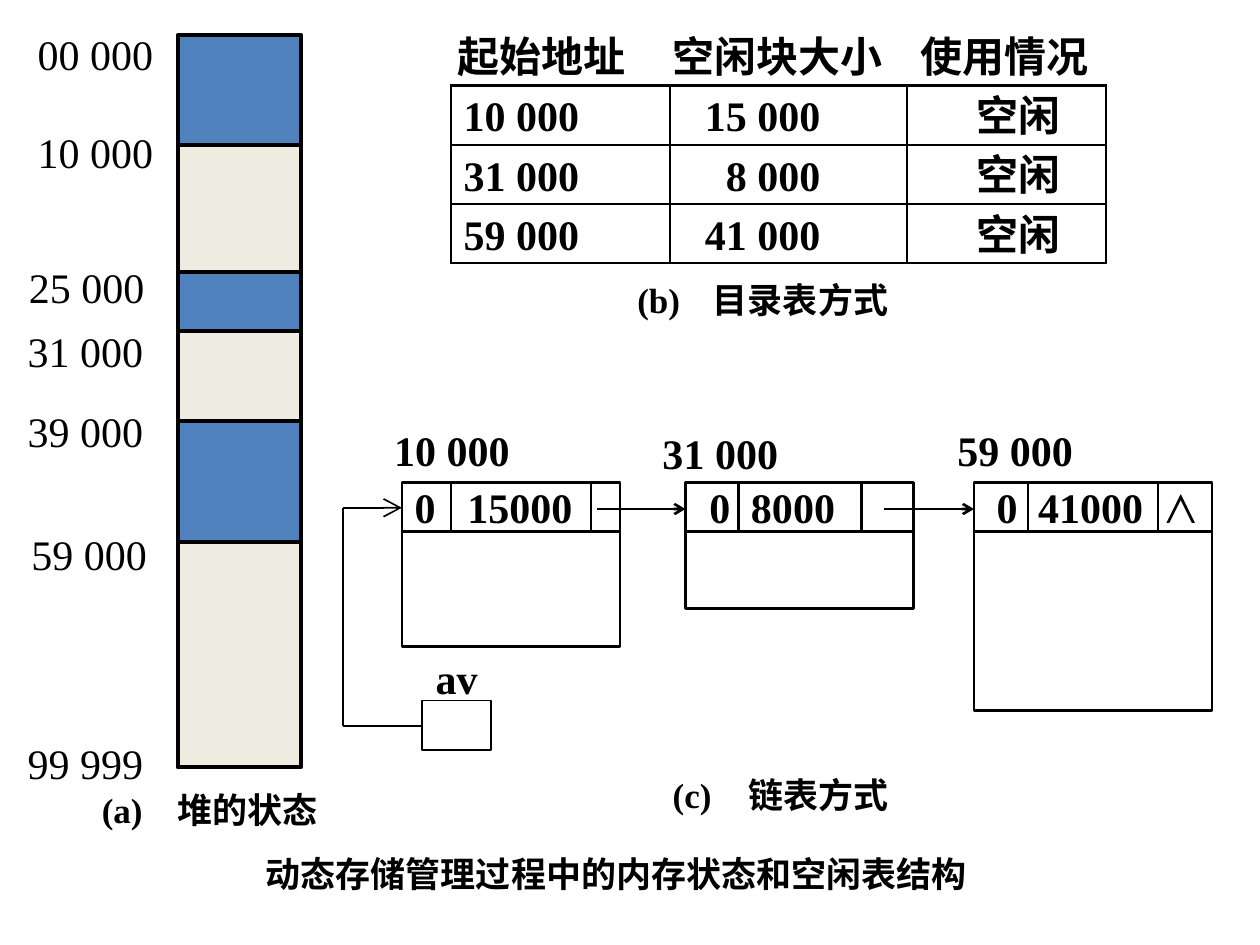
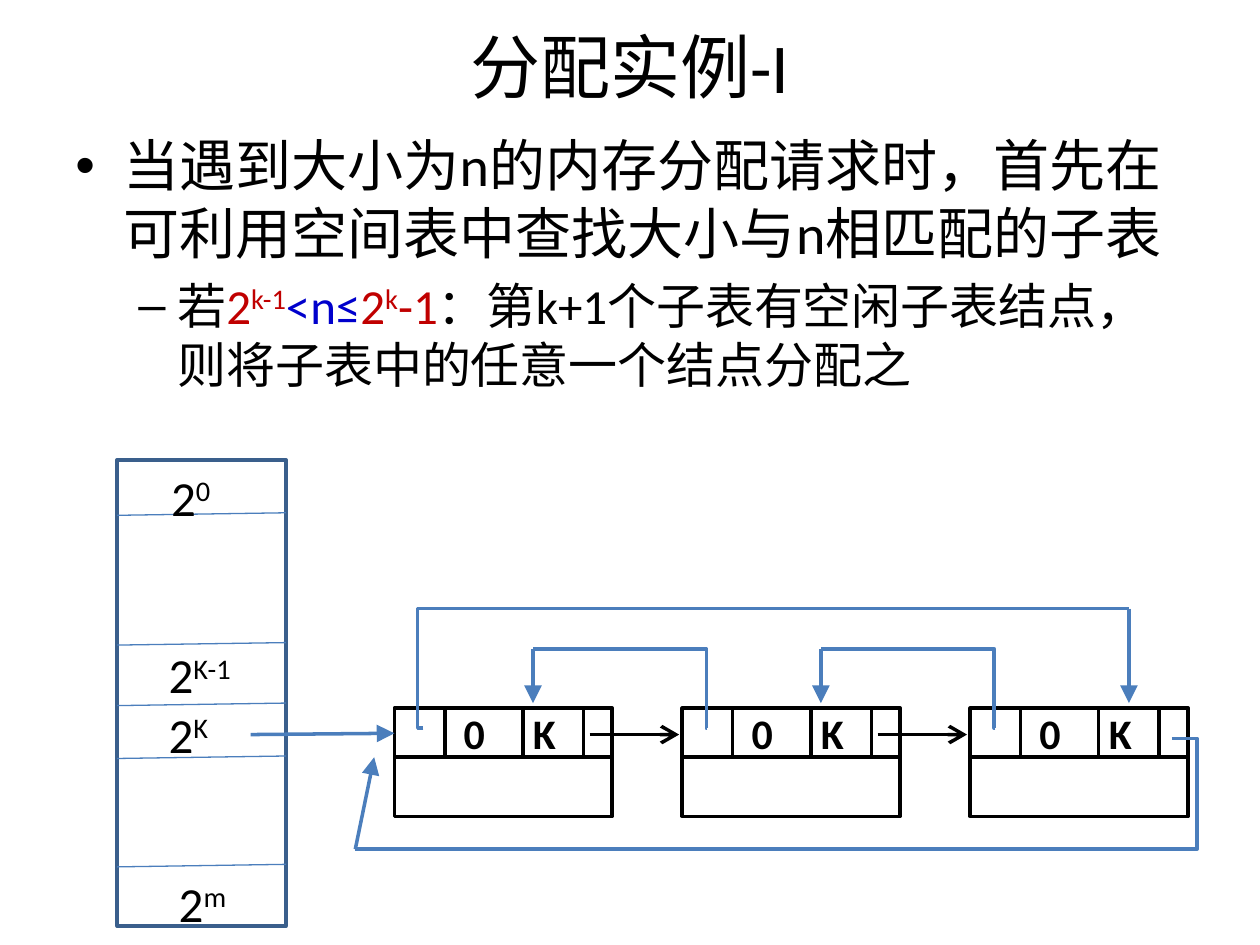
from itertools import accumulate
from lxml.etree import SubElement
from pptx import Presentation
from pptx.dml.color import RGBColor
from pptx.enum.shapes import MSO_CONNECTOR as CONNECTOR, MSO_SHAPE as SHAPE
from pptx.enum.text import MSO_ANCHOR as ANCHOR, PP_ALIGN as ALIGN
from pptx.oxml.ns import qn
from pptx.util import Inches, Pt

BLACK, BLUE, OUTLINE = "000000", "4B7EBC", "3A5F8C"
USED, FREE = "4F81BD", "EEECE1"
RED, NAVY = "C00000", "0000CC"
SERIF = {"name": "Times New Roman", "size": Pt(24)}
SERIF_BOLD = {**SERIF, "bold": True}
CAPTION = {**SERIF_BOLD, "size": Pt(20)}
SANS_BOLD = {"name": "Calibri", "size": Pt(24), "bold": True}
POWER = {"name": "Calibri", "size": Pt(28)}
TITLE = {"name": "Calibri", "size": Pt(40)}
BODY = {"name": "Calibri", "size": Pt(32)}


def color(hex_value):
    return RGBColor.from_string(hex_value)


# Shared building parts
def add_runs(paragraph, runs, style):
    """Each run is a plain string or (text, colour, is_superscript)."""
    for item in [runs] if isinstance(runs, str) else runs:
        text, hex_value, raised = (item, BLACK, False) if isinstance(item, str) else item
        run = paragraph.add_run()
        run.text = text
        for key, value in style.items():
            setattr(run.font, key, value)
        run.font.color.rgb = color(hex_value)
        if raised:
            run._r.get_or_add_rPr().set("baseline", "30000")


def set_tabs(paragraph, stops):
    tabs = SubElement(paragraph._p.get_or_add_pPr(), qn("a:tabLst"))
    for stop in stops:
        SubElement(tabs, qn("a:tab"), pos=str(Inches(stop)), algn="l")


def add_label(slide, left, top, width, height, runs, style,
              align=ALIGN.LEFT, anchor=ANCHOR.MIDDLE, wrap=False):
    box = slide.shapes.add_textbox(*map(Inches, (left, top, width, height)))
    frame = box.text_frame
    frame.word_wrap, frame.vertical_anchor = wrap, anchor
    frame.paragraphs[0].alignment = align
    add_runs(frame.paragraphs[0], runs, style)
    return frame


def add_caption(slide, left, top, mark, text):
    frame = add_label(slide, left, top, 2.3, 0.39, f"{mark}\t{text}", CAPTION, wrap=True)
    set_tabs(frame.paragraphs[0], [0.6])


def add_box(slide, left, top, width, height, line_width, fill=None, line=BLACK):
    shape = slide.shapes.add_shape(SHAPE.RECTANGLE, *map(Inches, (left, top, width, height)))
    shape.shadow.inherit = False
    if fill:
        shape.fill.solid()
        shape.fill.fore_color.rgb = color(fill)
    else:
        shape.fill.background()
    shape.line.color.rgb = color(line)
    shape.line.width = Pt(line_width)
    return shape


def add_line(slide, begin, end, width, line=BLACK, arrow=None, head="lg", bend=None):
    kind = CONNECTOR.STRAIGHT if bend is None else CONNECTOR.ELBOW
    connector = slide.shapes.add_connector(kind, *map(Inches, (*begin, *end)))
    connector.line.color.rgb = color(line)
    connector.line.width = Pt(width)
    properties = connector._element.spPr
    if arrow:
        SubElement(properties.find(qn("a:ln")), qn("a:tailEnd"), type=arrow, w=head, len=head)
    if bend is not None:
        guides = properties.find(".//" + qn("a:avLst"))
        SubElement(guides, qn("a:gd"), name="adj1", fmla=f"val {round(bend * 100000)}")
    SubElement(properties, qn("a:effectLst"))


def add_node(slide, left, top, fields, body_height, line_width, style):
    """A block with a header of fields (width, text, text indent) over a body."""
    head_height = 0.39
    *dividers, total = accumulate(width for width, _, _ in fields)
    add_box(slide, left, top + head_height, total, body_height, line_width)
    header = add_box(slide, left, top, total, head_height, line_width)
    frame = header.text_frame
    frame.word_wrap, frame.vertical_anchor = True, ANCHOR.MIDDLE
    frame.margin_left = frame.margin_right = frame.margin_top = frame.margin_bottom = 0
    paragraph = frame.paragraphs[0]
    paragraph.alignment = ALIGN.LEFT
    # One tab stop for each field that holds text
    stops = []
    for start, (_, text, indent) in zip([0, *dividers], fields):
        if text:
            stops.append(start + indent)
            add_runs(paragraph, "\t" + text, {**style, "bold": text != "⋀"})
    set_tabs(paragraph, stops)
    for x in dividers:
        add_line(slide, (left + x, top), (left + x, top + head_height), line_width)


# Slide 1: heap state, free list as a directory and as a chain
def draw_heap(slide, left, top):
    heights = [0.87, 1.01, 0.47, 0.71, 0.96, 1.79]
    for index, (height, end) in enumerate(zip(heights, accumulate(heights))):
        add_box(slide, left, top + end - height, 0.98, height, 2.25,
                FREE if index % 2 else USED)
    addresses = [("00 000", -1.21, -0.07), ("10 000", -1.21, 0.71),
                 ("25 000", -1.28, 1.78), ("31 000", -1.29, 2.29),
                 ("39 000", -1.29, 2.92), ("59 000", -1.26, 3.9),
                 ("99 999", -1.29, 5.56)]
    for address, x, y in addresses:
        add_label(slide, left + x, top + y, 1.18, 0.43, address, SERIF)
    add_caption(slide, left - 0.7, top + 5.95, "(a)", "堆的状态")


def set_borders(cell, sides):
    properties = cell._tc.get_or_add_tcPr()
    for side in sides:
        border = SubElement(properties, qn(f"a:ln{side}"), w=str(Pt(1.5)))
        SubElement(SubElement(border, qn("a:solidFill")), qn("a:srgbClr"), val=BLACK)
    cell.fill.background()


def draw_directory(slide, left, top):
    rows = [("起始地址", "空闲块大小", "使用情况"),
            ("10 000", "15 000", "空闲"),
            ("31 000", "8 000", "空闲"),
            ("59 000", "41 000", "空闲")]
    widths = [1.74, 1.88, 1.58]
    header_indents, body_indents = [0.05, 0.02, 0.11], [0.1, 0, 0.55]
    row_height = 0.47
    frame = slide.shapes.add_table(len(rows), len(widths), Inches(left), Inches(top),
                                   Inches(sum(widths)), Inches(row_height * len(rows)))
    table = frame.table
    table.first_row = table.horz_banding = False
    for column, width in zip(table.columns, widths):
        column.width = Inches(width)
    for r, values in enumerate(rows):
        table.rows[r].height = Inches(row_height)
        for c, value in enumerate(values):
            cell = table.cell(r, c)
            set_borders(cell, "LRTB" if r else "B")
            is_number = r > 0 and c < 2
            right_aligned = is_number and c == 1
            cell.margin_left = Inches((body_indents if r else header_indents)[c])
            cell.margin_right = Inches(0.69 if right_aligned else 0)
            cell.margin_top = Inches(0.04 if is_number else 0)
            cell.margin_bottom = 0
            cell.vertical_anchor = ANCHOR.MIDDLE
            paragraph = cell.text_frame.paragraphs[0]
            paragraph.alignment = ALIGN.RIGHT if right_aligned else ALIGN.LEFT
            paragraph.line_spacing = 1.0 if is_number else 0.9
            add_runs(paragraph, value, SERIF_BOLD)
    add_caption(slide, left + 1.38, top + 1.97, "(b)", "目录表方式")


def draw_chain(slide, left, top):
    nodes = [
        (0, "10 000", -0.16, -0.51, 0.91, [(0.39, "0", 0.1), (1.11, "15000", 0.13), (0.23, "", 0)]),
        (2.25, "31 000", -0.28, -0.49, 0.61, [(0.42, "0", 0.19), (0.98, "8000", 0.1), (0.41, "", 0)]),
        (4.54, "59 000", -0.23, -0.51, 1.42, [(0.43, "0", 0.18), (1.03, "41000", 0.08), (0.43, "⋀", 0.06)]),
    ]
    for x, address, label_x, label_y, body_height, fields in nodes:
        add_node(slide, left + x, top, fields, body_height, 1.5, SERIF_BOLD)
        add_label(slide, left + x + label_x, top + label_y, 1.13, 0.5, address,
                  SERIF_BOLD, anchor=ANCHOR.TOP)
    link_y = top + 0.21
    for start, end in [(1.55, 2.25), (3.83, 4.54)]:
        add_line(slide, (left + start, link_y), (left + end, link_y), 1.5,
                 arrow="arrow", head="med")
    # Head pointer
    add_label(slide, left + 0.04, top + 1.35, 0.79, 0.39, "av", SERIF_BOLD, ALIGN.CENTER)
    add_box(slide, left + 0.16, top + 1.73, 0.55, 0.39, 1)
    x, y_low, y_high = left - 0.47, top + 1.93, top + 0.2
    add_line(slide, (x, y_low), (left + 0.16, y_low), 1)
    add_line(slide, (x, y_high), (x, y_low), 1)
    add_line(slide, (x, y_high), (left, y_high), 1, arrow="arrow")
    add_caption(slide, left + 2.05, top + 2.28, "(c)", "链表方式")


def build_memory_slide(slide):
    draw_heap(slide, 1.41, 0.28)
    draw_directory(slide, 3.58, 0.21)
    draw_chain(slide, 3.19, 3.83)
    add_label(slide, 2.01, 6.74, 6.61, 0.39, "动态存储管理过程中的内存状态和空闲表结构", CAPTION)


# Slide 2: allocation example
def format_bullet(paragraph, mark, left, hanging, space):
    paragraph.space_before = Pt(space)
    properties = paragraph._p.get_or_add_pPr()
    properties.set("marL", str(Inches(left)))
    properties.set("indent", str(-Inches(hanging)))
    SubElement(properties, qn("a:buFont"), typeface="Arial")
    SubElement(properties, qn("a:buChar"), char=mark)


def draw_text(slide, left, top, width):
    add_label(slide, left, top, width, 0.94, "分配实例-I", TITLE, ALIGN.CENTER, wrap=True)
    frame = add_label(slide, left, top + 0.94, width, 6.38,
                      "当遇到大小为n的内存分配请求时，首先在可利用空间表中查找大小与n相匹配的子表",
                      BODY, anchor=ANCHOR.TOP, wrap=True)
    format_bullet(frame.paragraphs[0], "•", 0.38, 0.38, 6.4)
    detail = frame.add_paragraph()
    detail.level = 1
    add_runs(detail, ["若", ("2", RED, False), ("k-1", RED, True), ("<n≤", NAVY, False),
                      ("2", RED, False), ("k", RED, True), ("-1", RED, False),
                      "：第k+1个子表有空闲子表结点，则将子表中的任意一个结点分配之"], POWER)
    format_bullet(detail, "–", 0.81, 0.31, 5.6)


def draw_size_index(slide, left, top):
    width = 1.34
    add_box(slide, left, top, width, 3.7, 2, line=OUTLINE)
    for y in [0.44, 1.47, 1.95, 2.37, 3.23]:
        add_line(slide, (left + width, top + y - 0.02), (left, top + y), 0.75, BLUE)
    for exponent, x, y in [("0", 0.33, 0.01), ("K-1", 0.31, 1.42),
                           ("K", 0.31, 1.89), ("m", 0.39, 3.23)]:
        add_label(slide, left + x, top + y, 0.75, 0.57, ["2", (exponent, BLACK, True)],
                  POWER, anchor=ANCHOR.TOP)


def draw_ring(slide, left, top):
    pitch, node_count = 2.285, 3
    fields = [(0.4, "", 0), (0.62, "0", 0.15), (0.48, "K", 0.08), (0.23, "", 0)]
    node_lefts = [left + pitch * index for index in range(node_count)]
    for x in node_lefts:
        add_node(slide, x, top, fields, 0.47, 2, SANS_BOLD)
    back_y, tip_y, field_y = top - 0.47, top - 0.04, top + 0.16
    for x, following in zip(node_lefts, node_lefts[1:]):
        # Forward link, then the backward link above it
        add_line(slide, (x + 1.55, top + 0.21), (x + 2.26, top + 0.21), 2, arrow="arrow")
        add_line(slide, (following + 0.2, field_y), (x + 1.1, back_y), 2, BLUE, bend=0.006)
        add_line(slide, (x + 1.1, back_y), (x + 1.1, tip_y), 2, BLUE, "triangle")
    # Links that close the ring
    last_x, high_y = node_lefts[-1] + 1.26, top - 0.79
    add_line(slide, (left + 0.23, field_y), (last_x, high_y), 2, BLUE, bend=-0.008)
    add_line(slide, (last_x, high_y), (last_x, tip_y), 2, BLUE, "triangle")
    corner = (left - 0.31, top + 1.12)
    add_line(slide, (left + 6.17, top + 0.24), corner, 2, BLUE, bend=-0.031)
    add_line(slide, corner, (left - 0.16, top + 0.39), 2, BLUE, "triangle")
    # Entry from the size index
    add_line(slide, (left - 1.14, top + 0.21), (left, top + 0.2), 2, BLUE, "triangle")


def build_allocation_slide(slide):
    draw_text(slide, 0.5, 0.05, 9)
    draw_size_index(slide, 0.93, 3.65)
    draw_ring(slide, 3.13, 5.62)


def main():
    presentation = Presentation()
    presentation.slide_width, presentation.slide_height = Inches(10), Inches(7.5)
    for build in (build_memory_slide, build_allocation_slide):
        build(presentation.slides.add_slide(presentation.slide_layouts[6]))
    presentation.save("out.pptx")


if __name__ == "__main__":
    main()
